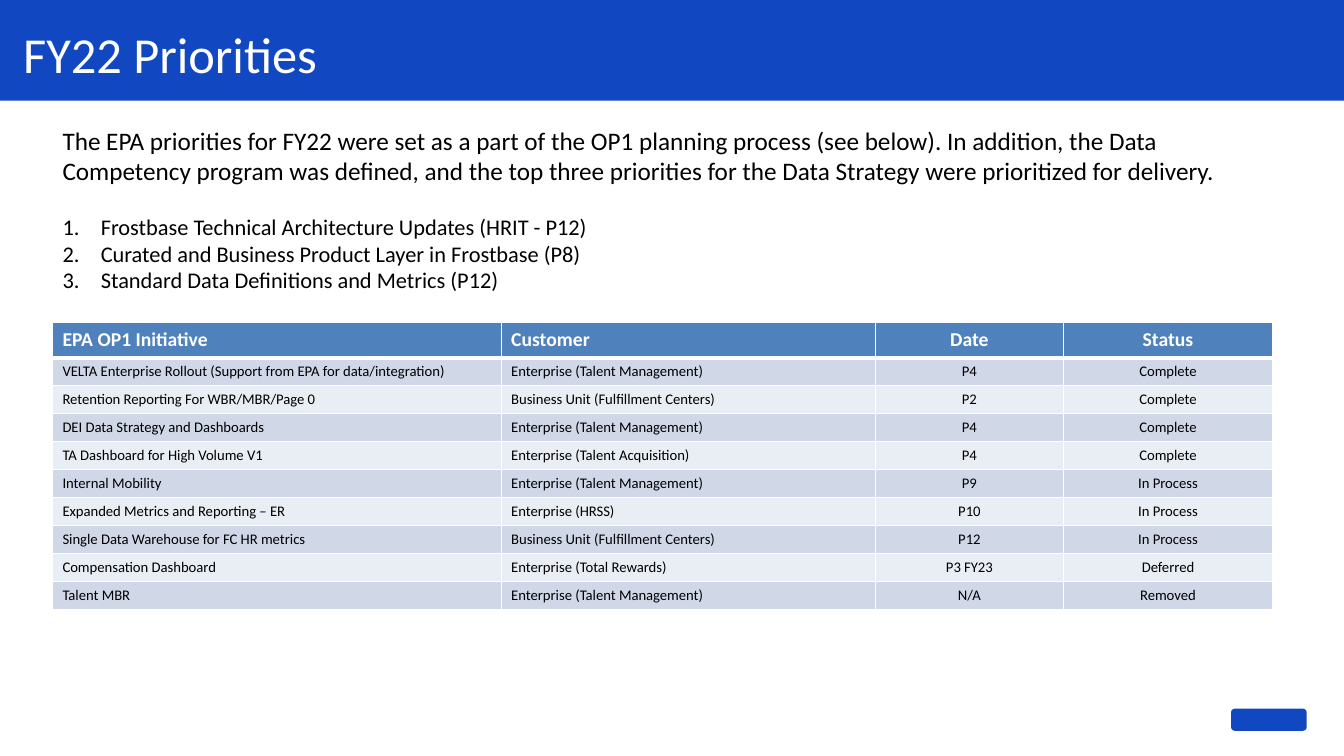
from lxml.etree import SubElement
from pptx import Presentation
from pptx.dml.color import RGBColor
from pptx.enum.shapes import MSO_SHAPE
from pptx.enum.text import MSO_ANCHOR, MSO_AUTO_SIZE, PP_ALIGN
from pptx.oxml.ns import qn
from pptx.util import Inches, Pt

FONT = "Calibri"
BLUE, WHITE, BLACK = "1148C2", "FFFFFF", "000000"
HEADER_FILL, ROW_FILLS = "4F81BD", ("D0D8E8", "E9EDF4")

INTRO = (
    "The EPA priorities for FY22 were set as a part of the OP1 planning process "
    "(see below). In addition, the Data Competency program was defined, and the "
    "top three priorities for the Data Strategy were prioritized for delivery."
)
PRIORITIES = [
    "Frostbase Technical Architecture Updates (HRIT - P12)",
    "Curated and Business Product Layer in Frostbase (P8)",
    "Standard Data Definitions and Metrics (P12)",
]
TALENT = "Enterprise (Talent Management)"
FULFILLMENT = "Business Unit (Fulfillment Centers)"
INITIATIVES = [
    ("EPA OP1 Initiative", "Customer", "Date", "Status"),
    ("VELTA Enterprise Rollout (Support from EPA for data/integration)", TALENT, "P4", "Complete"),
    ("Retention Reporting For WBR/MBR/Page 0", FULFILLMENT, "P2", "Complete"),
    ("DEI Data Strategy and Dashboards", TALENT, "P4", "Complete"),
    ("TA Dashboard for High Volume V1", "Enterprise (Talent Acquisition)", "P4", "Complete"),
    ("Internal Mobility", TALENT, "P9", "In Process"),
    ("Expanded Metrics and Reporting – ER", "Enterprise (HRSS)", "P10", "In Process"),
    ("Single Data Warehouse for FC HR metrics", FULFILLMENT, "P12", "In Process"),
    ("Compensation Dashboard", "Enterprise (Total Rewards)", "P3 FY23", "Deferred"),
    ("Talent MBR", TALENT, "N/A", "Removed"),
]
COLUMN_WIDTHS = (4.45, 3.71, 1.87, 2.07)


def paint(color_format, color):
    """Set a colour format from a hex string."""
    color_format.rgb = RGBColor.from_string(color)


def fill_solid(target, color):
    """Give a shape or a cell a solid fill."""
    target.fill.solid()
    paint(target.fill.fore_color, color)


def format_runs(paragraph, size, color, bold=False):
    """Apply the slide font to every run of a paragraph."""
    for run in paragraph.runs:
        run.font.name = FONT
        run.font.size = Pt(size)
        run.font.bold = bold
        paint(run.font.color, color)


def place(shape, left, top, width, height):
    """Move a shape to a box given in inches."""
    shape.left, shape.top = Inches(left), Inches(top)
    shape.width, shape.height = Inches(width), Inches(height)


def add_plain_shape(slide, kind, left, top, width, height):
    """Add a flat blue shape without outline or shadow."""
    shape = slide.shapes.add_shape(kind, Inches(left), Inches(top), Inches(width), Inches(height))
    shape.shadow.inherit = False
    fill_solid(shape, BLUE)
    shape.line.fill.background()
    return shape


def build_title(slide, left, top, width, height):
    """Place the title on its full-width band."""
    band = add_plain_shape(slide, MSO_SHAPE.RECTANGLE, left, top, width, height)
    title = slide.shapes.title
    title.element.addprevious(band.element)
    place(title, left + 0.23, top + 0.17, width - 0.49, height - 0.29)
    frame = title.text_frame
    frame.margin_left = frame.margin_right = frame.margin_top = frame.margin_bottom = 0
    frame.vertical_anchor = MSO_ANCHOR.MIDDLE
    frame.auto_size = MSO_AUTO_SIZE.NONE
    frame.text = "FY22 Priorities"
    frame.paragraphs[0].alignment = PP_ALIGN.LEFT
    format_runs(frame.paragraphs[0], 36, WHITE)


def set_numbering(paragraph, numbered):
    """Number a paragraph with a hanging indent, or clear its bullet."""
    properties = paragraph._p.get_or_add_pPr()
    indent = Inches(0.38) if numbered else 0
    properties.set("marL", str(indent))
    properties.set("indent", str(-indent))
    if numbered:
        SubElement(properties, qn("a:buFont"), typeface="+mj-lt")
        SubElement(properties, qn("a:buAutoNum"), type="arabicPeriod")
    else:
        SubElement(properties, qn("a:buNone"))


def build_priorities(slide, left, top, width, height):
    """Fill the body with the introduction and the numbered priorities."""
    body = slide.placeholders[1]
    place(body, left, top, width, height)
    frame = body.text_frame
    frame.auto_size = MSO_AUTO_SIZE.NONE
    frame.vertical_anchor = MSO_ANCHOR.TOP
    frame.text = "\n".join([INTRO] + PRIORITIES)
    for index, paragraph in enumerate(frame.paragraphs):
        set_numbering(paragraph, index > 0)
        paragraph.space_before = Pt(19.5 if index == 1 else 0)
        format_runs(paragraph, 16 if index else 18, BLACK)


def set_borders(cell, bottom_width):
    """Draw white borders around a cell."""
    properties = cell._tc.get_or_add_tcPr()
    for side, width in (("L", 1), ("R", 1), ("T", 1), ("B", bottom_width)):
        line = SubElement(properties, qn(f"a:ln{side}"), w=str(Pt(width)))
        solid = SubElement(line, qn("a:solidFill"))
        SubElement(solid, qn("a:srgbClr"), val=WHITE)


def build_table(slide, left, top, width, height):
    """Add the initiative table with a header and banded rows."""
    table = slide.shapes.add_table(
        len(INITIATIVES), len(COLUMN_WIDTHS),
        Inches(left), Inches(top), Inches(width), Inches(height),
    ).table
    for column, column_width in zip(table.columns, COLUMN_WIDTHS):
        column.width = Inches(column_width)
    for row_index, values in enumerate(INITIATIVES):
        header = row_index == 0
        table.rows[row_index].height = Inches(0.35 if header else 0.27)
        for column_index, value in enumerate(values):
            cell = table.cell(row_index, column_index)
            set_borders(cell, 3 if header else 1)
            fill_solid(cell, HEADER_FILL if header else ROW_FILLS[(row_index - 1) % 2])
            cell.text_frame.text = value
            paragraph = cell.text_frame.paragraphs[0]
            paragraph.alignment = PP_ALIGN.CENTER if column_index > 1 else PP_ALIGN.LEFT
            format_runs(paragraph, 14 if header else 10.5, WHITE if header else BLACK, header)


def main():
    """Build and save the slide."""
    presentation = Presentation()
    presentation.slide_width, presentation.slide_height = Inches(13.33), Inches(7.5)
    slide = presentation.slides.add_slide(presentation.slide_layouts[1])
    build_title(slide, 0, 0, 13.33, 1)
    build_table(slide, 0.52, 3.2, 12.1, 2.78)
    build_priorities(slide, 0.52, 1.19, 12.09, 2)
    add_plain_shape(slide, MSO_SHAPE.ROUNDED_RECTANGLE, 12.21, 7.03, 0.75, 0.22)
    presentation.save("out.pptx")


if __name__ == "__main__":
    main()
